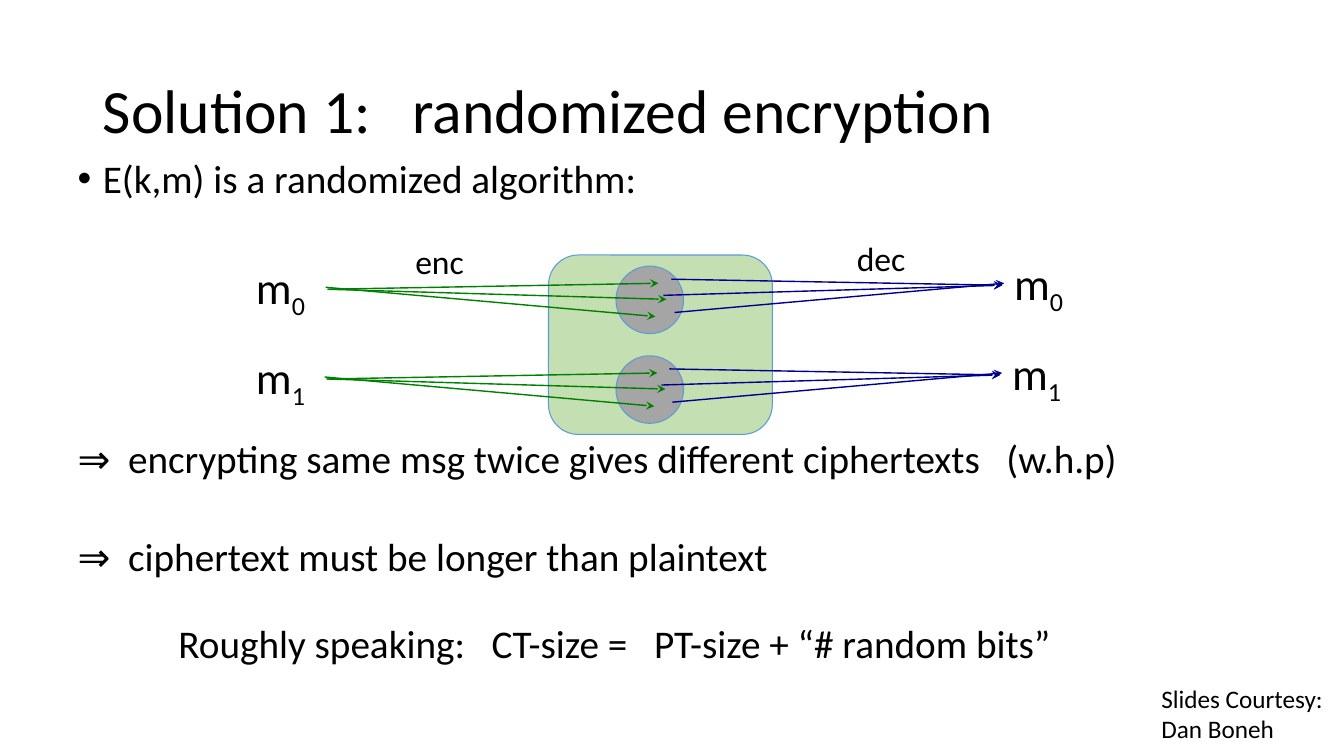
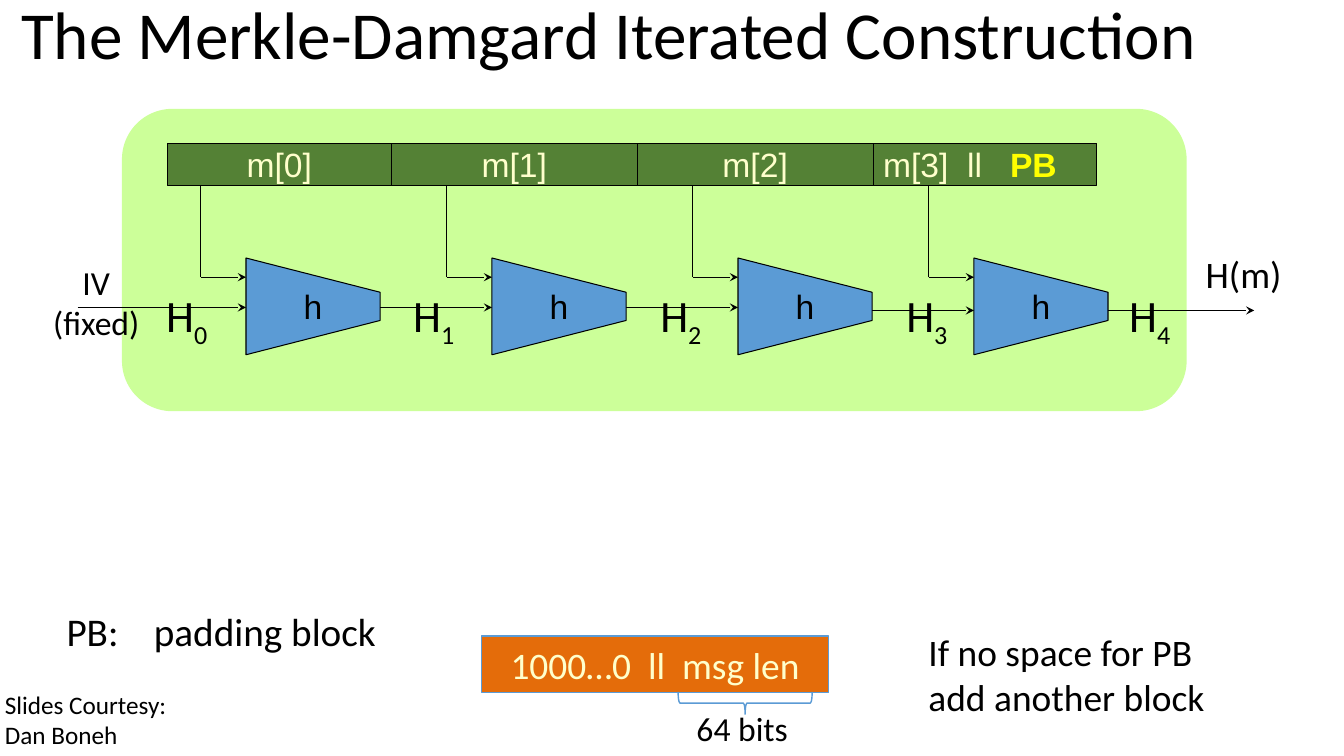
from lxml.etree import SubElement
from pptx import Presentation
from pptx.dml.color import RGBColor
from pptx.enum.shapes import MSO_CONNECTOR, MSO_SHAPE
from pptx.enum.text import MSO_ANCHOR, MSO_AUTO_SIZE, PP_ALIGN
from pptx.oxml.ns import qn
from pptx.util import Pt

EMU_PER_PX = 9144

BLACK = RGBColor(0x00, 0x00, 0x00)
BLUE = RGBColor(0x5B, 0x9B, 0xD5)
PALE_GREEN = RGBColor(0xC4, 0xE0, 0xB2)
GRAY = RGBColor(0xA5, 0xA5, 0xA5)
ENCRYPT_GREEN = RGBColor(0x00, 0x80, 0x00)
DECRYPT_BLUE = RGBColor(0x00, 0x00, 0x90)
LIME = RGBColor(0xCC, 0xFF, 0x99)
BLOCK_GREEN = RGBColor(0x54, 0x81, 0x35)
CREAM = RGBColor(0xFF, 0xFF, 0xCC)
YELLOW = RGBColor(0xFF, 0xFF, 0x00)
ORANGE = RGBColor(0xE4, 0x6C, 0x0A)

BODY_FONT = "Calibri"
DIAGRAM_FONT = "Arial"


def px(value):
    return round(value * EMU_PER_PX)


def box(x, y, width, height):
    return px(x), px(y), px(width), px(height)


def format_run(run, size, color=BLACK, font=BODY_FONT, bold=False):
    run.font.size = Pt(size)
    run.font.name = font
    run.font.bold = bold
    run.font.color.rgb = color


def write_lines(text_frame, lines, size, color=BLACK, font=BODY_FONT, align=PP_ALIGN.LEFT):
    text_frame.text = "\n".join(lines)
    for paragraph in text_frame.paragraphs:
        paragraph.alignment = align
        for run in paragraph.runs:
            format_run(run, size, color, font)


def place(placeholder, bounds):
    placeholder.left, placeholder.top, placeholder.width, placeholder.height = box(*bounds)
    placeholder.text_frame.auto_size = MSO_AUTO_SIZE.NONE


def add_slide(presentation, title, title_bounds, title_size):
    slide = presentation.slides.add_slide(presentation.slide_layouts[1])
    place(slide.shapes.title, title_bounds)
    text_frame = slide.shapes.title.text_frame
    text_frame.vertical_anchor = MSO_ANCHOR.MIDDLE
    write_lines(text_frame, [title], title_size)
    text_frame.paragraphs[0].line_spacing = 0.9
    return slide


def fill_body(slide, bounds, items):
    body = slide.placeholders[1]
    place(body, bounds)
    write_lines(body.text_frame, [text for text, *_ in items], 28)
    for paragraph, (_, space, margin, bullet) in zip(body.text_frame.paragraphs, items):
        paragraph.line_spacing = 0.9
        paragraph.space_before = Pt(space)
        properties = paragraph._p.get_or_add_pPr()
        properties.set("marL", str(px(margin)))
        properties.set("indent", str(px(-margin if bullet else 0)))
        if bullet:
            SubElement(properties, qn("a:buFont"), typeface="Arial")
            SubElement(properties, qn("a:buChar"), char="•")
        else:
            SubElement(properties, qn("a:buNone"))


def add_label(slide, bounds, lines, size, align=PP_ALIGN.LEFT):
    label = slide.shapes.add_textbox(*box(*bounds))
    label.text_frame.word_wrap = True
    write_lines(label.text_frame, lines, size, align=align)
    return label


def add_symbol(slide, x, y, letter, index):
    label = add_label(slide, (x, y, 71, 64), [letter], 32)
    subscript = label.text_frame.paragraphs[0].add_run()
    subscript.text = str(index)
    format_run(subscript, 32)
    subscript._r.get_or_add_rPr().set("baseline", "-25000")


def add_courtesy(slide, x, y):
    add_label(slide, (x, y, 191, 71), ["Slides Courtesy:", "Dan Boneh"], 18)


def paint(shape, fill, line=None, width=0.75):
    shape.shadow.inherit = False
    if fill is None:
        shape.fill.background()
    else:
        shape.fill.solid()
        shape.fill.fore_color.rgb = fill
    if line is None:
        shape.line.fill.background()
    else:
        shape.line.color.rgb = line
        shape.line.width = Pt(width)


def add_figure(slide, kind, bounds, fill, line=None, width=0.75):
    shape = slide.shapes.add_shape(kind, *box(*bounds))
    paint(shape, fill, line, width)
    return shape


def write_centered(shape, text, size, color, font):
    shape.text_frame.vertical_anchor = MSO_ANCHOR.MIDDLE
    write_lines(shape.text_frame, [text], size, color, font, PP_ALIGN.CENTER)


def add_line(slide, start, end, color=BLACK, width=0.75, arrow=True):
    connector = slide.shapes.add_connector(
        MSO_CONNECTOR.STRAIGHT, *(px(value) for value in (*start, *end)))
    connector.line.color.rgb = color
    connector.line.width = Pt(width)
    if arrow:
        SubElement(connector.line._get_or_add_ln(), qn("a:tailEnd"), type="stealth")
    SubElement(connector._element.spPr, qn("a:effectLst"))


def add_fan(slide, x, y, direction, color):
    rays = [((0, 0), (328, -6)), ((-2, -2), (325, 27)), ((0, 0), (336, 10))]
    for ray in rays:
        near, far = [(x + direction * dx, y + dy) for dx, dy in ray]
        start, end = (near, far) if direction > 0 else (far, near)
        add_line(slide, start, end, color, 1)


def add_compressor(slide, x):
    top, width, height, taper = 256, 133, 96, 34
    builder = slide.shapes.build_freeform(px(x), px(top))
    corners = [(x + width, top + taper), (x + width, top + height - taper), (x, top + height)]
    builder.add_line_segments([(px(a), px(b)) for a, b in corners], close=True)
    shape = builder.convert_to_shape()
    paint(shape, BLUE, BLACK)
    write_centered(shape, "h", 24, BLACK, DIAGRAM_FONT)


def add_message_block(slide, x, width, text):
    shape = add_figure(slide, MSO_SHAPE.RECTANGLE, (x, 142, width, 42), BLOCK_GREEN, BLACK)
    write_centered(shape, text, 24, CREAM, DIAGRAM_FONT)
    return shape


def build_randomized_encryption(presentation):
    slide = add_slide(presentation, "Solution 1:   randomized encryption", (92, 40, 1150, 145), 44)
    fill_body(slide, (67, 153, 1222, 597), [
        ("E(k,m) is a randomized algorithm:", 0, 25, True),
        ("⇒  encrypting same msg twice gives different ciphertexts   (w.h.p)", 170, 0, False),
        ("⇒  ciphertext must be longer than plaintext", 39.7, 0, False),
        ("Roughly speaking:   CT-size =   PT-size + “# random bits”", 31.7, 100, False),
    ])
    add_figure(slide, MSO_SHAPE.ROUNDED_RECTANGLE, (544, 253, 222, 178), PALE_GREEN, BLUE)
    for index in range(2):
        drop = 89 * index
        add_figure(slide, MSO_SHAPE.OVAL, (611, 264 + drop, 67, 67), GRAY, BLUE)
        add_symbol(slide, 244, 253 + drop, "m", index)
        add_fan(slide, 325 - index, 287 + drop, 1, ENCRYPT_GREEN)
        add_symbol(slide, 996 - 2 * index, 249 + drop, "m", index)
        add_fan(slide, 994 - 2 * index, 283 + drop, -1, DECRYPT_BLUE)
    add_label(slide, (402, 234, 69, 50), ["enc"], 24)
    add_label(slide, (840, 231, 69, 50), ["dec"], 24)
    add_courtesy(slide, 1142, 673)


def build_merkle_damgard(presentation):
    slide = add_slide(presentation, "The Merkle-Damgard Iterated Construction",
                      (11, -25, 1289, 125), 48)
    fill_body(slide, (56, 603, 1189, 147), [("PB:    padding block", 0, 0, False)])
    add_figure(slide, MSO_SHAPE.ROUNDED_RECTANGLE, (121, 108, 1056, 300), LIME)

    block_edges = [166, 388, 632, 866, 1088]
    block_texts = ["m[0]", "m[1]", "m[2]", "m[3]  ll   "]
    for left, right, text in zip(block_edges, block_edges[1:], block_texts):
        block = add_message_block(slide, left, right - left, text)
    last_paragraph = block.text_frame.paragraphs[0]
    last_paragraph.alignment = PP_ALIGN.LEFT
    padding = last_paragraph.add_run()
    padding.text = "PB"
    format_run(padding, 24, YELLOW, DIAGRAM_FONT, bold=True)

    compressor_lefts = [244, 488, 732, 966]
    for left in compressor_lefts:
        add_compressor(slide, left)
        corner = (left - 45, 275)
        add_line(slide, (left - 45, 184), corner, arrow=False)
        add_line(slide, corner, (left, 275))

    link_starts = [77] + [left + 133 for left in compressor_lefts]
    link_ends = compressor_lefts + [1244]
    link_heights = [305, 305, 305, 308, 308]
    symbol_lefts = [155, 400, 645, 889, 1110]
    links = zip(link_starts, link_ends, link_heights, symbol_lefts)
    for index, (start, end, y, symbol_left) in enumerate(links):
        add_line(slide, (start, y), (end, y))
        add_symbol(slide, symbol_left, 281, "H", index)
    add_label(slide, (42, 255, 107, 91), ["IV", "(fixed)"], 24, PP_ALIGN.CENTER)
    add_label(slide, (1186, 244, 100, 55), ["H(m)"], 26.7)

    padding_block = add_figure(slide, MSO_SHAPE.RECTANGLE, (478, 631, 344, 56), ORANGE, BLUE)
    write_centered(padding_block, "1000…0  ll  msg len", 26.7, CREAM, BODY_FONT)
    brace = add_figure(slide, MSO_SHAPE.RIGHT_BRACE, (728, 631, 22, 133), None, BLUE, 1)
    brace.rotation = 90
    add_label(slide, (681, 697, 120, 50), ["64 bits"], 24)
    add_label(slide, (911, 619, 310, 100), ["If no space for PB", "add another block"], 26.7)
    add_courtesy(slide, -5, 679)


def main():
    presentation = Presentation()
    presentation.slide_width = px(1333)
    presentation.slide_height = px(750)
    build_randomized_encryption(presentation)
    build_merkle_damgard(presentation)
    presentation.save("out.pptx")


if __name__ == "__main__":
    main()
